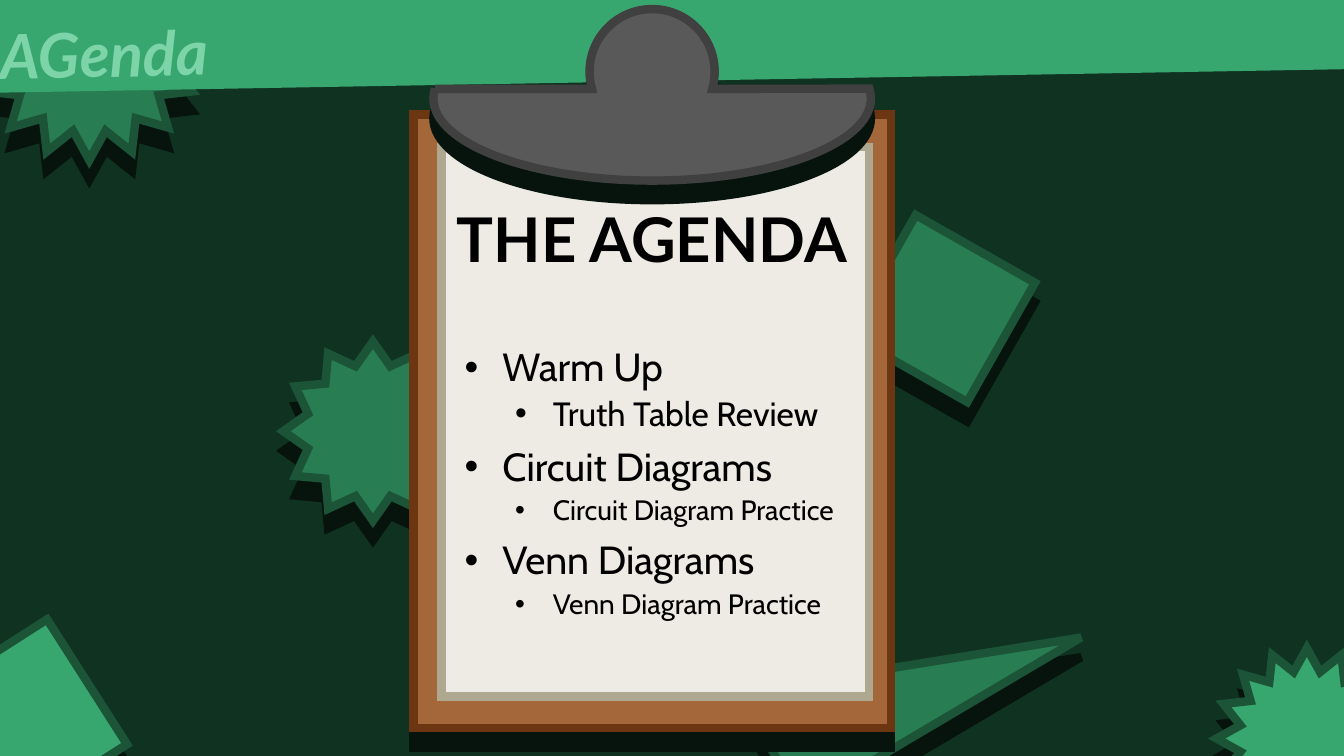
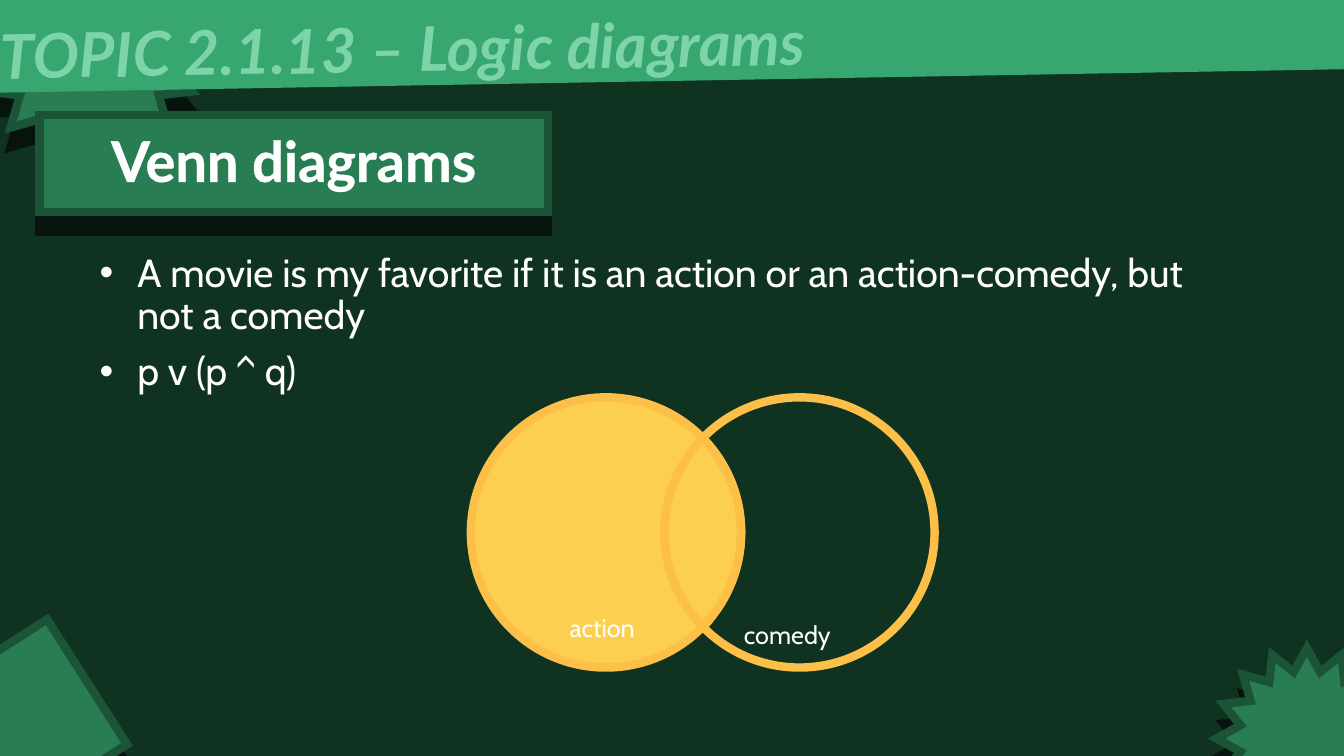
import math

import pptx
import pptx.dml.color
import pptx.enum.shapes
import pptx.enum.text
import pptx.oxml
import pptx.oxml.ns
import pptx.util
from lxml import etree

Pt = pptx.util.Pt
qn = pptx.oxml.ns.qn
PRESET = pptx.enum.shapes.MSO_SHAPE
CENTER = pptx.enum.text.PP_ALIGN.CENTER

COLORS = {
    "background": "103221", "edge": "1C5438", "green": "297D53",
    "bright": "37A76F", "title": "7DD4A9", "shadow": "06140D",
    "wood": "A4673A", "wood edge": "6C3612", "paper": "EDEBE3",
    "paper edge": "AEA890", "clip": "595959", "clip edge": "404040",
    "venn": "FDCF50", "venn edge": "FCBF47",
    "black": "000000", "white": "FFFFFF",
}
HEADING_FONT, BODY_FONT = "Lato", "Cabin"
EDGE_WIDTH = 6
SHADOW_DROP = 14


def rgb(name):
    return pptx.dml.color.RGBColor.from_string(COLORS[name])


def style(shape, fill=None, edge=None, shadow=False):
    """Set fill, sharp-cornered edge and hard drop shadow; None means none."""
    if fill:
        shape.fill.solid()
        shape.fill.fore_color.rgb = rgb(fill)
    else:
        shape.fill.background()
    if edge:
        shape.line.color.rgb = rgb(edge)
        shape.line.width = Pt(EDGE_WIDTH)
        outline = shape._element.spPr.find(qn("a:ln"))
        etree.SubElement(outline, qn("a:miter"), lim="800000")
    else:
        shape.line.fill.background()
    shape.shadow.inherit = False
    if shadow:
        effects = shape._element.spPr.find(qn("a:effectLst"))
        drop = etree.SubElement(
            effects, qn("a:outerShdw"), blurRad="0", dist=str(Pt(SHADOW_DROP)),
            dir="5400000", algn="t", rotWithShape="0")
        etree.SubElement(drop, qn("a:srgbClr"), val=COLORS["shadow"])


def add_preset(slide, preset, box, fill, edge=None, shadow=False, rotation=0):
    shape = slide.shapes.add_shape(preset, *map(Pt, box))
    shape.rotation = rotation
    style(shape, fill, edge, shadow)


def add_ornament(slide, preset, box, fill="green", rotation=0):
    add_preset(slide, preset, box, fill, "edge", True, rotation)


def arc(cx, cy, rx, ry, start, end):
    """Start point, then one Bezier triple per quadrant of the ellipse.

    Degrees run clockwise from the right.
    """
    low, high = sorted((start, end))
    stops = [low, *(q for q in range(-360, 721, 90) if low < q < high), high]
    if end < start:
        stops.reverse()

    def point(angle, tangent=0):
        cos, sin = math.cos(angle), math.sin(angle)
        return (cx + rx * (cos - tangent * sin),
                cy + ry * (sin + tangent * cos))

    segments = [(point(math.radians(start)),)]
    for a, b in zip(map(math.radians, stops), map(math.radians, stops[1:])):
        reach = 4 / 3 * math.tan((b - a) / 4)
        segments.append((point(a, reach), point(b, -reach), point(b)))
    return segments


def add_outline(slide, segments, fill, edge, shadow=False):
    """Draw segments of one point (line) or three points (Bezier curve)."""
    kept = segments[:1]
    for segment in segments[1:]:
        if len(segment) == 3 or math.dist(segment[0], kept[-1][-1]) > 0.1:
            kept.append(segment)
    start, *others = [(Pt(x), Pt(y)) for part in kept for x, y in part]
    builder = slide.shapes.build_freeform(*start, scale=1.0)
    builder.add_line_segments(others, close=True)
    shape = builder.convert_to_shape()
    lines = iter(list(shape._element.spPr.iter(qn("a:lnTo"))))
    for segment in kept[1:]:
        parts = [next(lines) for _ in segment]
        if len(parts) == 3:
            curve = etree.Element(qn("a:cubicBezTo"))
            parts[0].addprevious(curve)
            for part in parts:
                curve.append(part[0])
                part.getparent().remove(part)
    style(shape, fill, edge, shadow)


def format_run(run, size, color, font):
    run.font.size = Pt(size)
    run.font.name = font
    run.font.color.rgb = rgb(color)


def add_text(slide, box, text, size, color, font=BODY_FONT, align=None):
    label = slide.shapes.add_textbox(*map(Pt, box))
    label.text_frame.word_wrap = True
    label.text_frame.text = text
    paragraph = label.text_frame.paragraphs[0]
    paragraph.alignment = align
    format_run(paragraph.runs[0], size, color, font)
    return label


def add_heading(slide, box, text, size, color, align=None, italic=None):
    """Bold text thickened with an outline of its own colour."""
    heading = add_text(slide, box, text, size, color, HEADING_FONT, align)
    run = heading.text_frame.paragraphs[0].runs[0]
    run.font.bold = True
    run.font.italic = italic
    outline = pptx.oxml.parse_xml(
        '<a:ln xmlns:a="http://schemas.openxmlformats.org/drawingml/2006/main"'
        f' w="{Pt(1.5)}"><a:solidFill><a:srgbClr val="{COLORS[color]}"/>'
        "</a:solidFill></a:ln>")
    run.font._element.insert(0, outline)
    return heading


def add_bullets(slide, box, items, color):
    """Items are (level, size, text)."""
    frame = slide.shapes.add_textbox(*map(Pt, box)).text_frame
    frame.word_wrap = True
    for index, (level, size, text) in enumerate(items):
        paragraph = frame.add_paragraph() if index else frame.paragraphs[0]
        paragraph.text = text
        paragraph.level = level
        paragraph.line_spacing = 0.9
        if index:
            paragraph.space_before = Pt(5 if level else 10)
        properties = paragraph._p.get_or_add_pPr()
        properties.set("marL", str(Pt(27 + 36 * level)))
        properties.set("indent", str(Pt(-27)))
        etree.SubElement(properties, qn("a:buFont"), typeface="Arial")
        etree.SubElement(properties, qn("a:buChar"), char="•")
        format_run(paragraph.runs[0], size, color, BODY_FONT)


def add_base_slide(deck, title, corner_fill):
    """Background, corner ornaments and tilted title band."""
    slide = deck.slides.add_slide(deck.slide_layouts[6])
    slide.background.fill.solid()
    slide.background.fill.fore_color.rgb = rgb("background")
    add_ornament(slide, PRESET.STAR_16_POINT, (-15.7, -44.6, 159, 159))
    add_preset(slide, PRESET.RECTANGLE, (-16, -48.7, 998, 106.5), "bright",
               rotation=359)
    band_title = add_heading(slide, (-7.2, -0.9, 1142.5, 60.5), title, 44,
                             "title", italic=True)
    band_title.rotation = 359
    add_ornament(slide, PRESET.RECTANGLE, (-41.2, 464.3, 112.3, 106),
                 corner_fill, 327.4)
    add_ornament(slide, PRESET.STAR_16_POINT, (869, 463, 129, 129),
                 corner_fill)
    return slide


def add_clip(slide, x, y, width):
    middle, head, ledge = x + width / 2, 44.7, 57
    jaw_middle, jaw_height = 64, 58.5
    head_arc = arc(middle, y + head, head, head, 164, 376)
    jaw_arc = arc(middle, y + jaw_middle, width / 2, jaw_height, -7, 187)
    ledge_left = (jaw_arc[-1][-1][0], y + ledge)
    add_outline(slide, [(ledge_left,), *head_arc, *jaw_arc],
                "clip", "clip edge", True)


def add_clipboard(slide, box, heading, items):
    x, y, width, height = box
    add_preset(slide, PRESET.RECTANGLE, box, "wood", "wood edge", True)
    add_preset(slide, PRESET.RECTANGLE,
               (x + 20.2, y + 23.2, width - 36, height - 46),
               "paper", "paper edge")
    add_clip(slide, x + 14.3, y - 75.3, 312.5)
    add_heading(slide, (x + 6.7, y + 58.3, 327.6, 60.5), heading, 44,
                "black", CENTER)
    add_bullets(slide, (x + 29.5, y + 163, 301, 265), items, "black")


def add_topic_plate(slide, box, text):
    x, y, width, _ = box
    add_ornament(slide, PRESET.RECTANGLE, box)
    add_heading(slide, (x + 3.5, y + 4.2, width - 7, 55.5), text, 40,
                "white", CENTER)


def add_venn(slide, x, y, radius, spacing, left_label, right_label):
    """Two overlapping circles, the left one shaded with the overlap."""
    half = math.degrees(math.acos(spacing / 2 / radius))

    def left_arc(start, end):
        return arc(x + radius, y + radius, radius, radius, start, end)

    def right_arc(start, end):
        return arc(x + radius + spacing, y + radius, radius, radius,
                   start, end)

    overlap = left_arc(-half, half) + right_arc(180 - half, 180 + half)
    left_only = left_arc(half, 360 - half) + right_arc(180 + half, 180 - half)
    right_only = right_arc(180 + half, 540 - half) + left_arc(half, -half)
    for region, fill in ((overlap, "venn"), (left_only, "venn"),
                         (right_only, None)):
        add_outline(slide, region, fill, "venn edge")
    add_text(slide, (x + 63.3, y + 150.2, 135.4, 29), left_label, 18, "white")
    add_text(slide, (x + 187.9, y + 154.7, 135.4, 29), right_label, 18,
             "white")


def build_agenda(deck):
    slide = add_base_slide(deck, "AGenda", "bright")
    add_ornament(slide, PRESET.RECTANGLE, (623.5, 171.4, 98, 98),
                 rotation=29.6)
    add_ornament(slide, PRESET.STAR_12_POINT, (202.4, 244, 128, 128))
    add_ornament(slide, PRESET.RIGHT_TRIANGLE, (534.2, 429.8, 231, 90.7),
                 rotation=329.4)
    add_clipboard(slide, (295.3, 81.8, 341.3, 438.4), "THE AGENDA", [
        (0, 28, "Warm Up"),
        (1, 24, "Truth Table Review"),
        (0, 28, "Circuit Diagrams"),
        (1, 20, "Circuit Diagram Practice"),
        (0, 28, "Venn Diagrams"),
        (1, 20, "Venn Diagram Practice"),
    ])


def build_venn_topic(deck):
    slide = add_base_slide(deck, "TOPIC 2.1.13 – Logic diagrams", "green")
    add_topic_plate(slide, (28.3, 82.2, 363, 69.2), "Venn diagrams")
    add_bullets(slide, (64, 177.4, 827.3, 339.8), [
        (0, 28, "A movie is my favorite if it is an action or an "
                "action-comedy, but not a comedy"),
        (0, 28, "p v (p ^ q)"),
    ], "white")
    add_venn(slide, 336.4, 283.8, 96.5, 138.2, "action", "comedy")


def main():
    deck = pptx.Presentation()
    deck.slide_width, deck.slide_height = Pt(960), Pt(540)
    build_agenda(deck)
    build_venn_topic(deck)
    deck.save("out.pptx")


if __name__ == "__main__":
    main()
